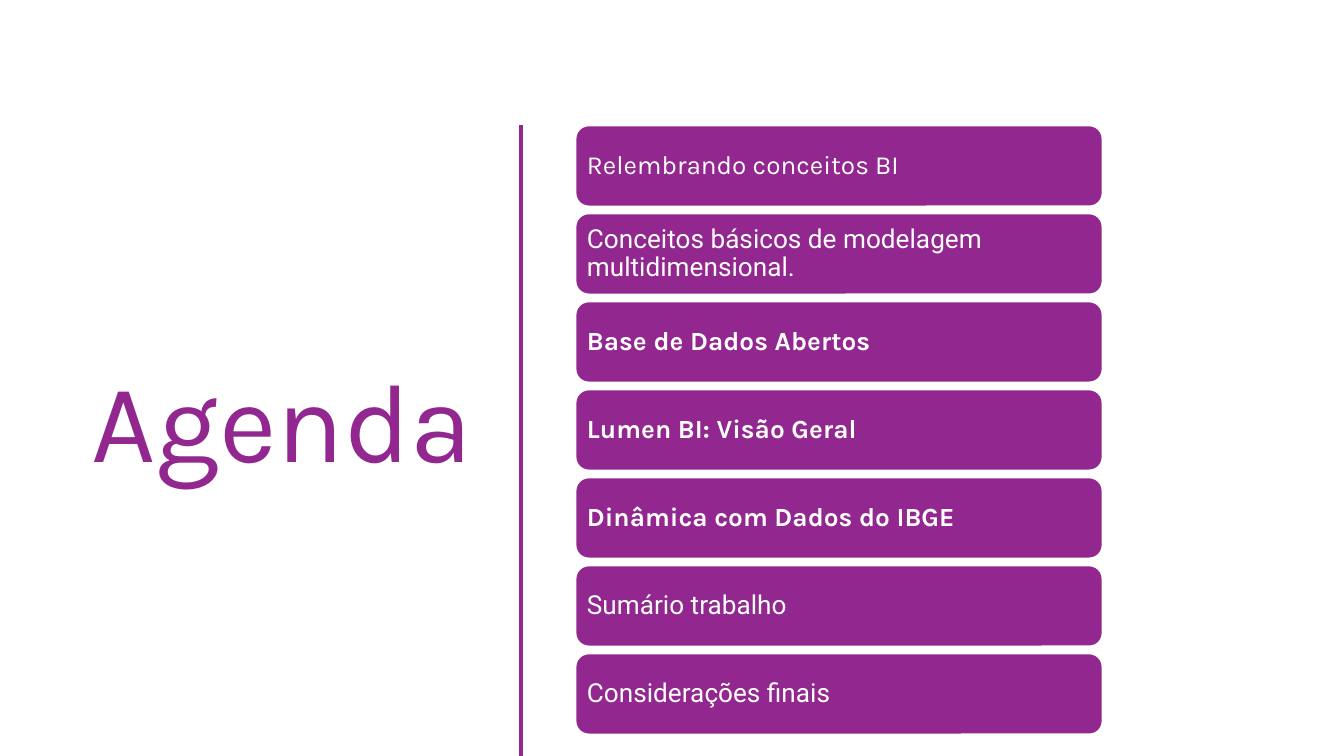
from pptx import Presentation
from pptx.dml.color import RGBColor
from pptx.enum.shapes import MSO_CONNECTOR as CONN, MSO_SHAPE as SHAPE
from pptx.enum.text import MSO_ANCHOR as ANCHOR, MSO_AUTO_SIZE as FIT, PP_ALIGN as ALIGN
from pptx.oxml.ns import qn
from pptx.util import Pt
from lxml.etree import SubElement

TITLE = "Agenda"
TOPICS = [
    ("Relembrando conceitos BI", "Karla", False),
    ("Conceitos básicos de modelagem multidimensional.", "Roboto", False),
    ("Base de Dados Abertos", "Karla", True),
    ("Lumen BI: Visão Geral", "Karla", True),
    ("Dinâmica com Dados do IBGE", "Karla", True),
    ("Sumário trabalho", "Roboto", False),
    ("Considerações finais", "Roboto", False),
]

THEME = {
    "purple": RGBColor(0x92, 0x27, 0x8F),
    "white": RGBColor(0xFF, 0xFF, 0xFF),
    "title": Pt(60),
    "topic": Pt(14),
    "rule": Pt(2),
    "border": Pt(1.5),
    "spacing": 0.9,
}
SLIDE_W, SLIDE_H = 1344, 756
TITLE_BOX = (52, 118, 434, 616)
RULE_X, RULE_TOP = 521, 125
CARD_X, CARD_TOP, CARD_W, CARD_H, PITCH = 575, 125, 528, 82, 88
INSET = 8


def px(n):
    return round(n * 914400 / 134.4)


def box(*lengths):
    return [px(n) for n in lengths]


def apply(target, values):
    for name, value in values.items():
        setattr(target, name, value)


def write(tf, text, align, color, frame, font):
    apply(tf, {"word_wrap": True, "auto_size": FIT.NONE,
               "vertical_anchor": ANCHOR.MIDDLE, **frame})
    p = tf.paragraphs[0]
    apply(p, {"alignment": align, "line_spacing": THEME["spacing"]})
    r = p.add_run()
    r.text = text
    apply(r.font, font)
    r.font.color.rgb = color


def add_title(s):
    title = s.shapes.title
    apply(title, dict(zip(("left", "top", "width", "height"), box(*TITLE_BOX))))
    write(title.text_frame, TITLE, ALIGN.RIGHT, THEME["purple"], {},
          {"size": THEME["title"], "name": "Karla"})


def add_rule(s):
    rule = s.shapes.add_connector(CONN.STRAIGHT, *box(RULE_X, RULE_TOP, RULE_X, SLIDE_H))
    rule.line.color.rgb = THEME["purple"]
    rule.line.width = THEME["rule"]
    SubElement(rule._element.spPr, qn("a:effectLst"))


def add_card(s, index, text, face, bold):
    card = s.shapes.add_shape(
        SHAPE.ROUNDED_RECTANGLE, *box(CARD_X, CARD_TOP + index * PITCH, CARD_W, CARD_H))
    card.shadow.inherit = False
    card.fill.solid()
    card.fill.fore_color.rgb = THEME["purple"]
    card.line.color.rgb = THEME["white"]
    card.line.width = THEME["border"]
    margins = {f"margin_{side}": px(INSET) for side in ("left", "top", "right", "bottom")}
    write(card.text_frame, text, ALIGN.LEFT, THEME["white"], margins,
          {"size": THEME["topic"], "name": face, "bold": bold})


def main():
    prs = Presentation()
    prs.slide_width, prs.slide_height = box(SLIDE_W, SLIDE_H)
    s = prs.slides.add_slide(prs.slide_layouts[5])
    add_title(s)
    add_rule(s)
    for index, topic in enumerate(TOPICS):
        add_card(s, index, *topic)
    prs.save("out.pptx")


if __name__ == "__main__":
    main()
